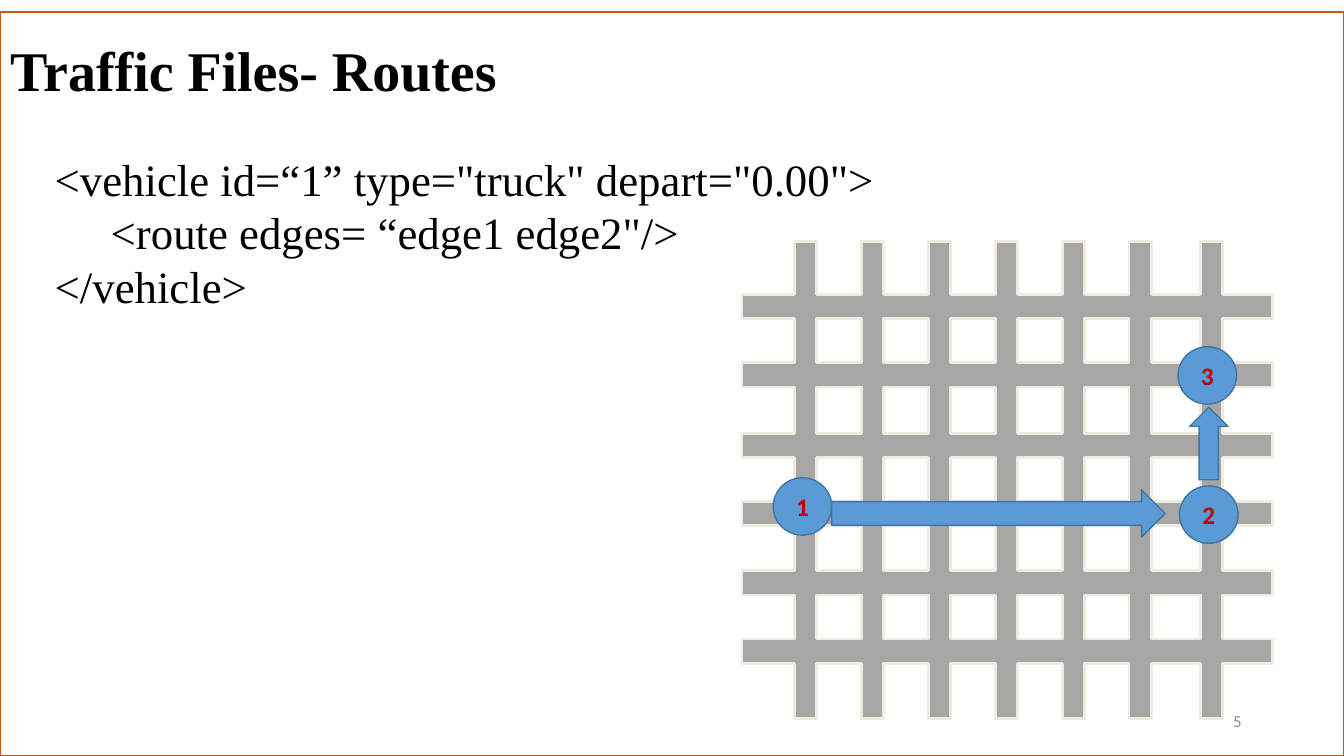
import pptx
import pptx.dml.color
import pptx.enum.shapes
import pptx.enum.text
import pptx.util

Pt = pptx.util.Pt
RGBColor = pptx.dml.color.RGBColor
MSO_SHAPE = pptx.enum.shapes.MSO_SHAPE
PP_ALIGN = pptx.enum.text.PP_ALIGN
MSO_ANCHOR = pptx.enum.text.MSO_ANCHOR

BLACK = RGBColor(0x00, 0x00, 0x00)
FRAME_ORANGE = RGBColor(0xC5, 0x5A, 0x11)
ROAD_GRAY = RGBColor(0xA6, 0xA6, 0xA6)
ROAD_EDGE = RGBColor(0xEE, 0xEC, 0xE1)
MARKER_BLUE = RGBColor(0x5B, 0x9B, 0xD5)
MARKER_EDGE = RGBColor(0x43, 0x73, 0x9E)
NUMBER_RED = RGBColor(0xC0, 0x00, 0x00)
PAGE_GRAY = RGBColor(0x8C, 0x8C, 0x8C)

SERIF = "Times New Roman"
SANS = "Calibri"

# Text and its left indent
CODE_LINES = [
    ('<vehicle id=“1” type="truck" depart="0.00">', 32),
    ('<route edges= “edge1 edge2"/>', 72),
    ("</vehicle>", 32),
]

# Offsets from the top left corner of the road map
STREET_LEFTS = [37.5 + 47.8 * index for index in range(6)] + [327.5]
STREET_WIDTH = 16
AVENUE_TOPS = [37.4, 86.4, 136.8, 185.3, 235, 283.7]
AVENUE_HEIGHT = 17.3


def format_paragraph(paragraph, font_name, size, color, bold=False, alignment=PP_ALIGN.LEFT):
    paragraph.alignment = alignment
    for run in paragraph.runs:
        run.font.name = font_name
        run.font.size = Pt(size)
        run.font.bold = bold
        run.font.color.rgb = color


def style_shape(shape, fill, line, line_width):
    shape.shadow.inherit = False
    if fill is None:
        shape.fill.background()
    else:
        shape.fill.solid()
        shape.fill.fore_color.rgb = fill
    shape.line.color.rgb = line
    shape.line.width = Pt(line_width)


def add_shape(slide, kind, box, fill, line, line_width):
    shape = slide.shapes.add_shape(kind, *map(Pt, box))
    style_shape(shape, fill, line, line_width)
    return shape


def set_title(slide, box, text):
    title = slide.shapes.title
    title.left, title.top, title.width, title.height = map(Pt, box)
    title.text_frame.text = text
    title.text_frame.vertical_anchor = MSO_ANCHOR.MIDDLE
    paragraph = title.text_frame.paragraphs[0]
    paragraph.line_spacing = 0.9
    format_paragraph(paragraph, SERIF, 40, BLACK, bold=True)


def add_code(slide, box):
    text_frame = slide.shapes.add_textbox(*map(Pt, box)).text_frame
    text_frame.word_wrap = True
    text_frame.text = "\n".join(text for text, indent in CODE_LINES)
    for paragraph, (text, indent) in zip(text_frame.paragraphs, CODE_LINES):
        paragraph.line_spacing = Pt(38.5)
        paragraph._p.get_or_add_pPr().set("marL", str(Pt(indent)))
        format_paragraph(paragraph, SERIF, 32, BLACK)


def road_outline(streets, avenues, width, height):
    """Return the corners around the crossing roads, clockwise."""
    first_left, last_right = streets[0][0], streets[-1][1]
    first_top, last_bottom = avenues[0][0], avenues[-1][1]
    corners = []
    for left, right in streets:
        corners += [(left, first_top), (left, 0), (right, 0), (right, first_top)]
    for top, bottom in avenues:
        corners += [(last_right, top), (width, top), (width, bottom), (last_right, bottom)]
    for left, right in reversed(streets):
        corners += [(right, last_bottom), (right, height), (left, height), (left, last_bottom)]
    for top, bottom in reversed(avenues):
        corners += [(first_left, bottom), (0, bottom), (0, top), (first_left, top)]
    return list(dict.fromkeys(corners))


def city_blocks(streets, avenues):
    """Return the four corners of every gap between the roads."""
    blocks = []
    for (_, top), (bottom, _) in zip(avenues, avenues[1:]):
        for (_, left), (right, _) in zip(streets, streets[1:]):
            blocks.append([(left, top), (left, bottom), (right, bottom), (right, top)])
    return blocks


def add_road_map(slide, box):
    map_left, map_top, width, height = box
    streets = [(left, left + STREET_WIDTH) for left in STREET_LEFTS]
    avenues = [(top, top + AVENUE_HEIGHT) for top in AVENUE_TOPS]
    contours = [road_outline(streets, avenues, width, height)] + city_blocks(streets, avenues)
    builder = None
    for contour in contours:
        points = [(Pt(map_left + x), Pt(map_top + y)) for x, y in contour]
        if builder is None:
            builder = slide.shapes.build_freeform(*points[0], scale=1.0)
        else:
            builder.move_to(*points[0])
        builder.add_line_segments(points[1:], close=True)
    style_shape(builder.convert_to_shape(), ROAD_GRAY, ROAD_EDGE, 2)


def add_route(slide, map_box):
    left, top = map_box[:2]
    for number, x, y in (("1", 22.3, 168.5), ("2", 312.5, 174.3), ("3", 311.5, 74.9)):
        box = (left + x, top + y, 41.8, 41)
        marker = add_shape(slide, MSO_SHAPE.OVAL, box, MARKER_BLUE, MARKER_EDGE, 1)
        marker.text_frame.text = number
        marker.text_frame.vertical_anchor = MSO_ANCHOR.MIDDLE
        format_paragraph(marker.text_frame.paragraphs[0], SANS, 18, NUMBER_RED, True, PP_ALIGN.CENTER)
    for kind, x, y, width, height in (
        (MSO_SHAPE.RIGHT_ARROW, 64, 177.1, 238.3, 33.8),
        (MSO_SHAPE.UP_ARROW, 319.7, 118.1, 27.4, 51.8),
    ):
        add_shape(slide, kind, (left + x, top + y, width, height), MARKER_BLUE, MARKER_EDGE, 1)


def add_page_number(slide, box, number):
    text_frame = slide.shapes.add_textbox(*map(Pt, box)).text_frame
    text_frame.word_wrap = True
    text_frame.vertical_anchor = MSO_ANCHOR.MIDDLE
    text_frame.text = number
    format_paragraph(text_frame.paragraphs[0], SANS, 12, PAGE_GRAY, alignment=PP_ALIGN.RIGHT)


def add_routes_slide(presentation):
    slide = presentation.slides.add_slide(presentation.slide_layouts[5])
    map_box = (530, 172.8, 378.7, 340.6)
    add_shape(slide, MSO_SHAPE.RECTANGLE, (0, 8.8, 960, 531.2), None, FRAME_ORANGE, 1.5)
    set_title(slide, (0, 0, 828, 104.4), "Traffic Files- Routes")
    add_road_map(slide, map_box)
    add_code(slide, (0, 104.4, 706.3, 123.8))
    add_route(slide, map_box)
    add_page_number(slide, (678, 500.5, 216, 28.8), "5")


def main():
    presentation = pptx.Presentation()
    presentation.slide_width = Pt(960)
    presentation.slide_height = Pt(540)
    add_routes_slide(presentation)
    presentation.save("out.pptx")


if __name__ == "__main__":
    main()
